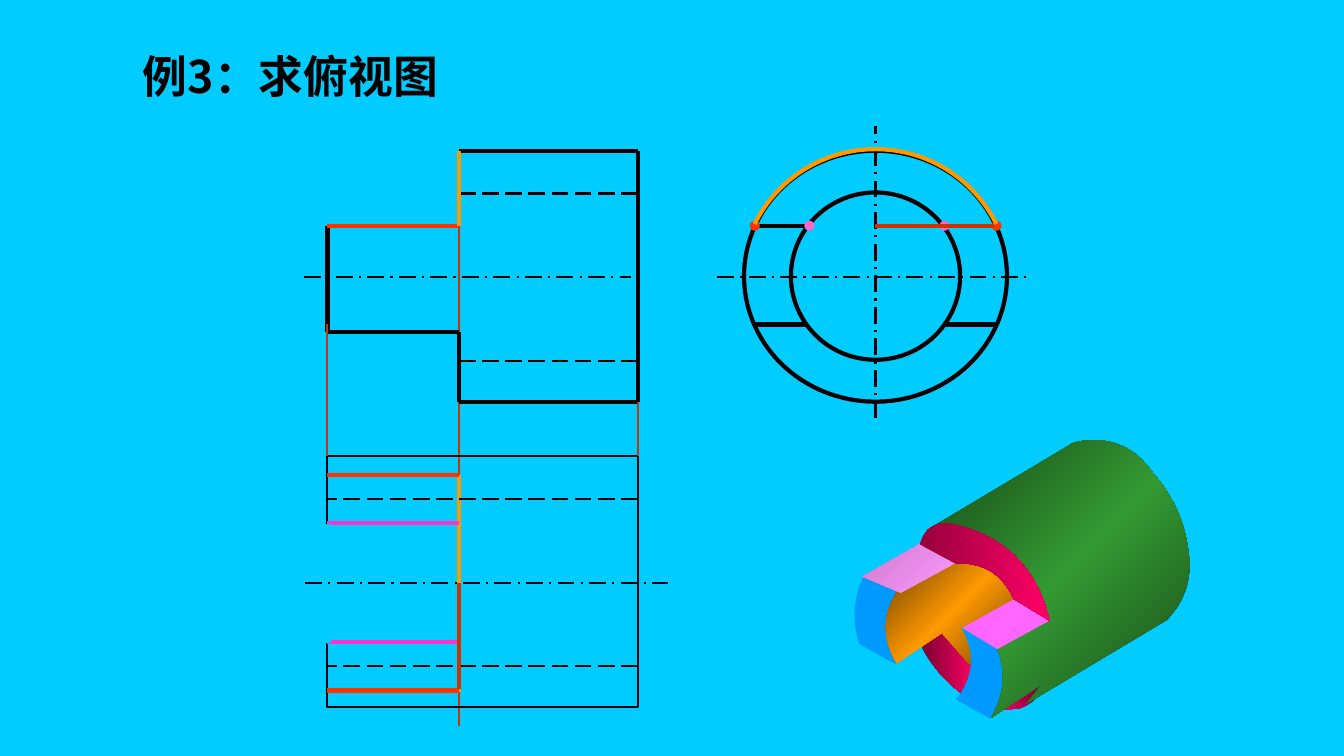
from copy import deepcopy
from itertools import pairwise, product
from lxml import etree
from pptx import Presentation
from pptx.dml.color import RGBColor
from pptx.enum.dml import MSO_LINE
from pptx.enum.shapes import MSO_CONNECTOR, MSO_SHAPE
from pptx.enum.text import MSO_ANCHOR, PP_ALIGN
from pptx.oxml.ns import qn
from pptx.util import Inches, Pt

STRAIGHT = MSO_CONNECTOR.STRAIGHT
OVAL, RECT, ARC = MSO_SHAPE.OVAL, MSO_SHAPE.RECTANGLE, MSO_SHAPE.ARC
DASH, AXIS = MSO_LINE.LONG_DASH, MSO_LINE.LONG_DASH_DOT
MIDDLE, CENTER = MSO_ANCHOR.MIDDLE, PP_ALIGN.CENTER

THEME = {
    "font": "Noto Sans CJK SC", "title": 32, "dot": 8,
    "bg": "00CCFF", "ink": "000000", "red": "FF3300", "rose": "FF66CC",
    # pens: colour, width, dash
    "edge": ("000000", 3, None), "thin": ("000000", 1.5, None),
    "hidden": ("000000", 1.5, DASH), "axis": ("000000", 1.5, AXIS),
    "guide": ("CC3300", 1.5, None), "cut": ("CC3300", 3, None),
    "face": ("FF3300", 3, None), "bore": ("FF33CC", 3, None),
    "step": ("FF9900", 3, None), "gap": ("00CCFF", 4.5, None),
    # fills of the solid
    "blue": ["0099FF"], "pink": ["FF66FF"], "lilac": ["CD7BCD", "FF99FF"],
    "wine": ["76002F", "FF0066"], "rim": ["96003C", "FF0066"],
    "shade": ["FF0066", "5A0024"],
    "gold": ["693F00", "FF9900", "693F00"],
    "green": ["184718", "339933", "184718"],
}
SLANT = {"lilac", "gold", "green"}  # gradients at 45 degrees

# Content: shared columns and rows of the three views, in inches
TITLE = "例3：求俯视图"
LEFT, STEP, RIGHT, HUB = 3.25, 4.56, 6.33, 8.69
TOP, SLOT, MID, LOW, BASE = 1.5, 2.24, 2.75, 3.29, 3.99
PLAN, PLAN_MID, PLAN_END = 4.52, 5.78, 7.01
FRONT = [(LEFT, LOW), (LEFT, SLOT), (STEP, SLOT), (STEP, TOP), (RIGHT, TOP),
         (RIGHT, BASE), (STEP, BASE), (STEP, LOW), (LEFT, LOW)]
RINGS = [(2.61, 2.49), (1.68, 1.66)]
FLAT = (0.67, 1.19)  # slot edge, inner and outer distance from the hub
BORE = 0.83  # hidden bore line from the axis
BANDS = [(1.07, STEP, "face"), (0.59, STEP, "bore"), (BORE, RIGHT, "hidden")]
CROWN = (1.34, 2.82, 63.5)  # radius, centre row, half angle
DOTS = [(-1.21, "red"), (0.67, "rose"), (-0.67, "rose"), (1.19, "red")]

# Solid: corner x, y and, for a curved edge to the next corner, its bow
SOLID = [
    ("blue", [(8.57, 5.72), (9, 5.87, -0.12), (8.89, 6.59),
              (8.53, 6.39, 0.1)]),
    ("wine", [(9.36, 6.27, 0.04), (9.68, 6.67), (9.65, 6.95, 0.07),
              (9.14, 6.4)]),
    ("gold", [(8.95, 5.81), (9.49, 5.5, 0.1), (10.15, 5.95), (9.65, 6.23),
              (9.63, 6.6), (9.35, 6.28), (8.9, 6.58, 0.17)]),
    ("blue", [(9.54, 6.22, 0.17), (9.49, 6.94), (9.83, 7.13, -0.12),
              (9.95, 6.43)]),
    ("shade", [(9.94, 7.04), (10.39, 6.75, 0.12), (10.11, 7.03)]),
    ("green", [(9.2, 5.26), (10.66, 4.39, 0.17), (11.45, 4.7, 0.08),
               (11.8, 5.5, 0.12), (11.58, 6.15), (10.19, 6.98),
               (10.34, 6.79), (9.84, 7.12, -0.12), (9.9, 6.43),
               (10.39, 6.1, -0.2)]),
    ("lilac", [(8.56, 5.72), (8.94, 5.88), (9.49, 5.58), (9.14, 5.39)]),
    ("pink", [(9.55, 6.23), (9.9, 6.44), (10.43, 6.15), (10.09, 5.93)]),
    ("rim", [(9.13, 5.4, 0.2), (9.42, 5.19, 0.16), (10.42, 6.16),
             (10.06, 5.94, -0.17), (9.49, 5.59)]),
]

prs = Presentation()
prs.slide_width, prs.slide_height = Inches(13.34), Inches(7.5)
slide = prs.slides.add_slide(prs.slide_layouts[6])
shapes = slide.shapes
rgb = RGBColor.from_string
slide.background.fill.solid()
slide.background.fill.fore_color.rgb = rgb(THEME["bg"])


def ink(line, pen):
    color, width, dash = THEME[pen]
    line.color.rgb, line.width = rgb(color), Pt(width)
    if dash:
        line.dash_style = dash


def draw(x1, y1, x2, y2, pen):
    link = shapes.add_connector(STRAIGHT, *map(Inches, (x1, y1, x2, y2)))
    ink(link.line, pen)
    etree.SubElement(link._element.spPr, qn("a:effectLst"))


def outline(kind, x, y, w, h, pen):
    shape = shapes.add_shape(kind, *map(Inches, (x, y, w, h)))
    shape.shadow.inherit = False
    shape.fill.background()
    ink(shape.line, pen)
    return shape


def bend(corners, cuts=10):
    """Turn corners and bows into a closed run of points."""
    points = []
    for (x, y, *bow), (x2, y2, *_) in pairwise(corners + corners[:1]):
        dx, dy = x2 - x, y2 - y
        for i in range(cuts if bow else 1):
            t = i / cuts
            lift = 4 * t * (1 - t) * sum(bow)
            points.append((x + dx * t + dy * lift, y + dy * t - dx * lift))
    return [(Inches(x), Inches(y)) for x, y in points]


def paint(fill, name, stops_of):
    colors = THEME[name]
    if len(colors) == 1:
        fill.solid()
        fill.fore_color.rgb = rgb(colors[0])
        return
    fill.gradient()
    fill.gradient_angle = 315 if name in SLANT else 0
    stops = stops_of.find(".//" + qn("a:gsLst"))
    for _ in colors[2:]:
        stops.append(deepcopy(stops[0]))
    for i, (stop, color) in enumerate(zip(fill.gradient_stops, colors)):
        stop.position = i / (len(colors) - 1)
        stop.color.rgb = rgb(color)


def write(text, x, y, w, h, size, color):
    frame = shapes.add_textbox(*map(Inches, (x, y, w, h))).text_frame
    para = frame.paragraphs[0]
    para.text = text
    font = para.font
    font.name, font.size, font.bold = THEME["font"], Pt(THEME[size]), True
    font.color.rgb = rgb(THEME[color])
    run = para.runs[0]._r.get_or_add_rPr()
    etree.SubElement(run, qn("a:ea")).set("typeface", THEME["font"])
    return frame


# Solid
for name, corners in SOLID:
    start, *rest = bend(corners)
    pen = shapes.build_freeform(*start)
    pen.add_line_segments(rest, close=True)
    part = pen.convert_to_shape()
    part.shadow.inherit = False
    part.line.fill.background()
    paint(part.fill, name, part._element.spPr)

# Front view
draw(STEP, SLOT, STEP, 7.2, "guide")
for a, b in pairwise(FRONT):
    draw(*a, *b, "edge")
draw(3.02, MID, 6.26, MID, "axis")
for side in (-1, 1):
    row = MID + side * BORE
    draw(RIGHT, row, STEP, row, "hidden")

# Side view
for w, h in RINGS:
    outline(OVAL, HUB - w / 2, MID - 0.01 - h / 2, w, h, "edge")
draw(HUB, 4.15, HUB, 1.25, "axis")
draw(7.12, MID, 10.2, MID, "axis")
for side, row in product((-1, 1), (SLOT, 3.22)):
    near, far = (HUB + side * reach for reach in FLAT)
    draw(near, row, far, row, "edge")
write(TITLE, 1.32, 0.43, 3.2, 0.64, "title", "ink").word_wrap = True

# Top view
draw(STEP, 6.87, STEP, 4.71, "step")
outline(RECT, LEFT, PLAN, RIGHT - LEFT, PLAN_END - PLAN, "thin")
for (reach, end, pen), side in product(BANDS, (-1, 1)):
    row = PLAN_MID + side * reach
    draw(end, row, LEFT, row, pen)

# Matching faces and projection lines
draw(LEFT, SLOT, STEP, SLOT, "face")
draw(LEFT, 3.21, LEFT, PLAN, "guide")
draw(RIGHT, BASE, RIGHT, PLAN, "guide")
for reach, color in DOTS:
    frame = write("●", HUB + reach - 0.14, SLOT - 0.12, 0.29, 0.24,
                  "dot", color)
    frame.word_wrap = False
    frame.vertical_anchor = MIDDLE
    frame.paragraphs[0].alignment = CENTER
draw(HUB, SLOT, HUB + FLAT[1], SLOT, "cut")
draw(STEP, PLAN_MID, STEP, 6.84, "cut")
draw(STEP, TOP, STEP, SLOT, "step")
r, row, half = CROWN
crown = outline(ARC, HUB - r, row - r, 2 * r, 2 * r, "step")
for i, side in enumerate((-1, 1)):
    crown.adjustments[i] = (270 + side * half) * 0.6  # 60000 per degree
draw(LEFT, 5.2, LEFT, 6.38, "gap")
draw(3.03, PLAN_MID, 6.63, PLAN_MID, "axis")

prs.save("out.pptx")
